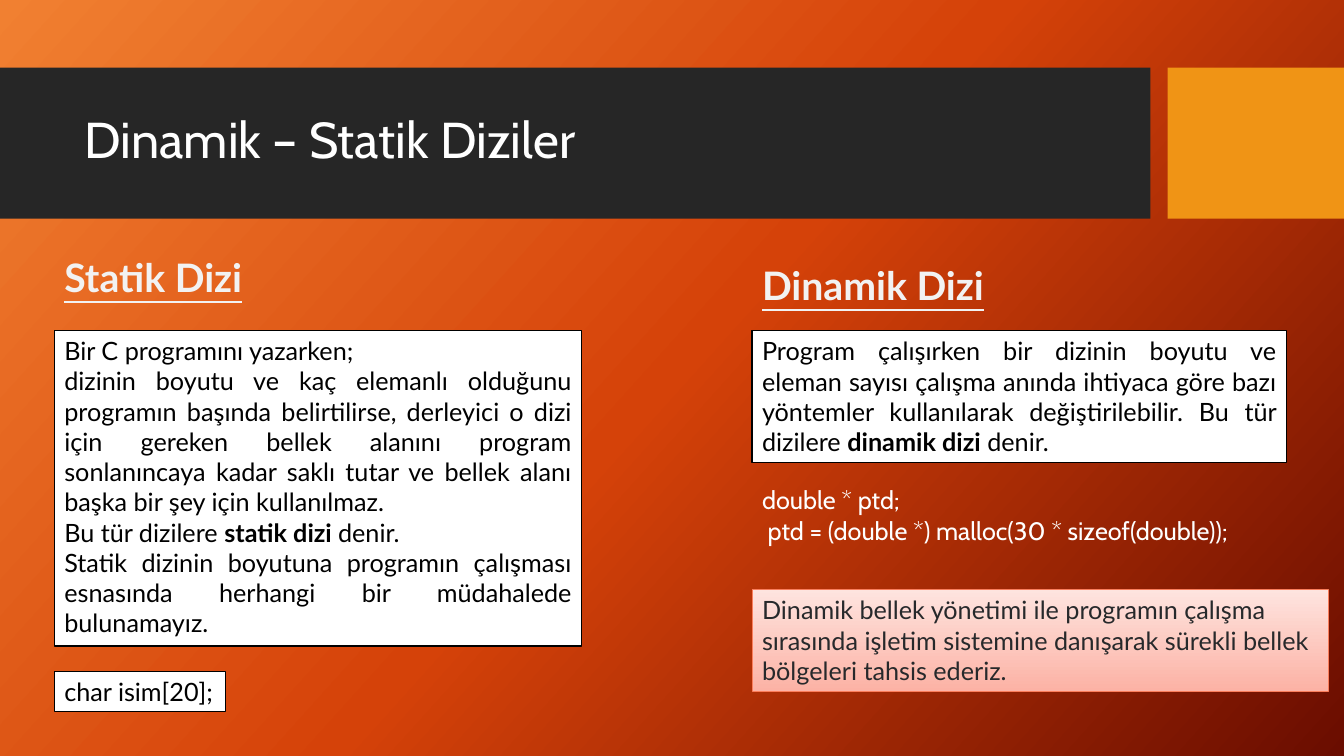
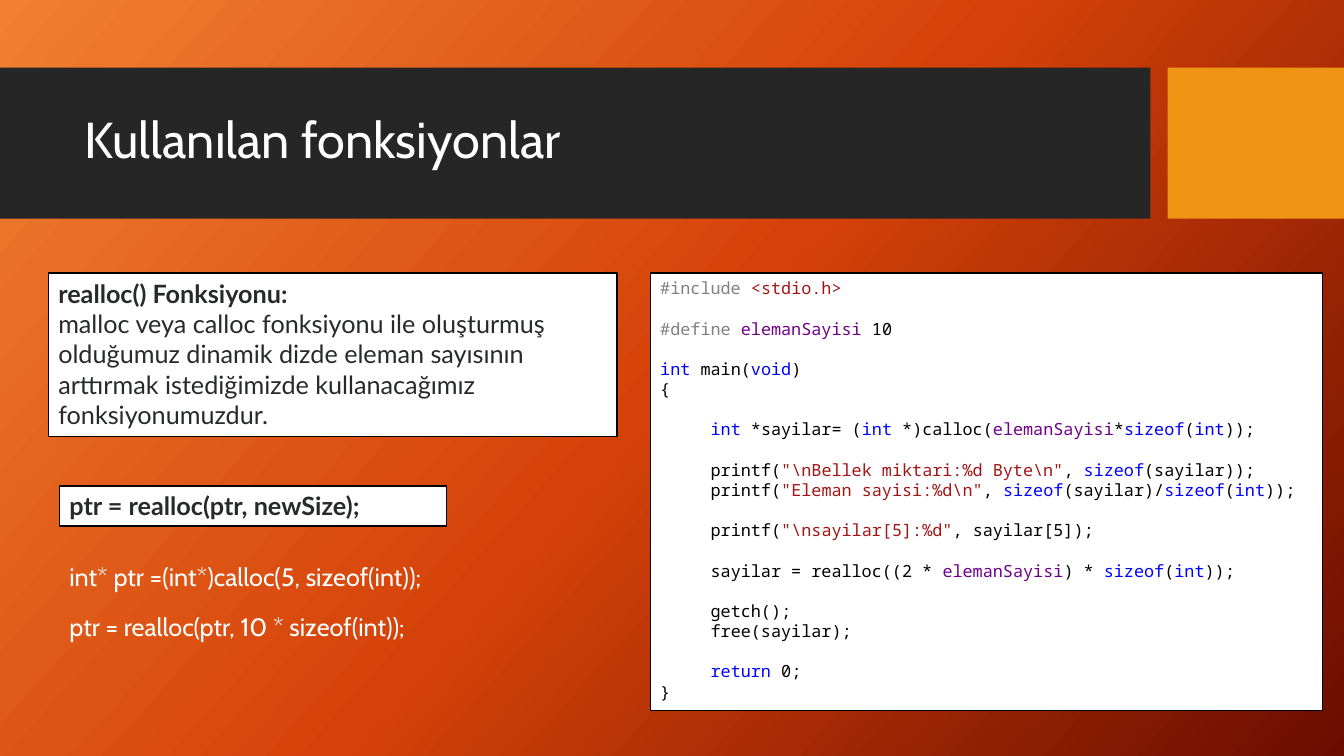
from copy import deepcopy

from pptx import Presentation
from pptx.dml.color import RGBColor
from pptx.enum import shapes, text
from pptx.oxml.ns import qn
from pptx.util import Inches, Pt

WHITE = RGBColor(0xFF, 0xFF, 0xFF)
BLACK = RGBColor(0, 0, 0)
BAND = RGBColor(0x26, 0x26, 0x26)
ACCENT = RGBColor(0xF0, 0x94, 0x15)
HEADING = RGBColor(0xF2, 0xF2, 0xF2)
BODY = RGBColor(0x27, 0x29, 0x2B)
NOTE_LINE = RGBColor(0xFA, 0x7E, 0x5C)
CODE_GREY = RGBColor(0x80, 0x80, 0x80)
CODE_RED = RGBColor(0xA3, 0x15, 0x15)
CODE_BLUE = RGBColor(0, 0, 0xFF)
CODE_PURPLE = RGBColor(0x6F, 0, 0x8A)

BACKGROUND_STOPS = [
    (0, RGBColor(0xF1, 0x80, 0x31)),
    (0.5, RGBColor(0xD5, 0x42, 0x09)),
    (1, RGBColor(0x6A, 0x0D, 0x00)),
]
NOTE_STOPS = [(0, RGBColor(0xFE, 0xE4, 0xDF)), (1, RGBColor(0xFC, 0xB2, 0xA5))]

TITLE_FONT, BODY_FONT, CODE_FONT = "Cabin", "Lato", "Noto Sans Mono"
CODE_LINE = Pt(14.4)
JUSTIFY = text.PP_ALIGN.JUSTIFY

# Reusable formats
HEADING_STYLE = dict(size=28, color=HEADING, bold=True, underline=True, wrap=False)
CARD = dict(fill=WHITE, line=BLACK)
PLAIN = dict(font=TITLE_FONT, color=WHITE)

# Each item: (left, top, width, height), paragraphs, format.
# A paragraph is a string or a list of (text, run format) pairs.
ARRAYS = [
    ((0.54, 2.46, 2.08, 0.57), ["Statik Dizi"], HEADING_STYLE),
    ((0.54, 3.28, 5.23, 3.13), [
        "Bir C programını yazarken;",
        "dizinin boyutu ve kaç elemanlı olduğunu programın başında belirtilirse, "
        "derleyici o dizi için gereken bellek alanını program sonlanıncaya kadar "
        "saklı tutar ve bellek alanı başka bir şey için kullanılmaz.",
        [("Bu tür dizilere ", {}), ("statik dizi ", {"bold": True}), ("denir.", {})],
        "Statik dizinin boyutuna programın çalışması esnasında herhangi bir "
        "müdahalede bulunamayız.",
    ], dict(CARD, align=JUSTIFY)),
    ((7.46, 2.54, 2.54, 0.57), ["Dinamik Dizi"], HEADING_STYLE),
    ((7.46, 3.28, 5.3, 1.31), [[
        ("Program çalışırken bir dizinin boyutu ve eleman sayısı çalışma anında "
         "ihtiyaca göre bazı yöntemler kullanılarak değiştirilebilir. "
         "Bu tür dizilere ", {}),
        ("dinamik dizi", {"bold": True}),
        (" denir.", {}),
    ]], dict(CARD, align=JUSTIFY)),
    ((0.54, 6.66, 1.7, 0.4), ["char isim[20];"], dict(CARD, align=JUSTIFY)),
    ((7.46, 5.85, 5.72, 1.01), [
        "Dinamik bellek yönetimi ile programın çalışma sırasında işletim sistemine "
        "danışarak sürekli bellek bölgeleri tahsis ederiz.",
    ], dict(gradient=NOTE_STOPS, line=NOTE_LINE, line_width=0.75, color=BODY)),
    ((7.46, 4.76, 5.45, 0.71), [
        "double * ptd;",
        " ptd = (double *) malloc(30 * sizeof(double));",
    ], PLAIN),
]

FUNCTIONS = [
    ((0.48, 2.71, 5.64, 1.62), [
        [("realloc() Fonksiyonu:", {"bold": True})],
        "malloc veya calloc fonksiyonu ile oluşturmuş olduğumuz dinamik dizde "
        "eleman sayısının arttırmak istediğimizde kullanacağımız fonksiyonumuzdur.",
    ], dict(CARD, color=BODY)),
    ((0.59, 4.82, 3.84, 0.4), ["ptr = realloc(ptr, newSize);"],
     dict(CARD, color=BODY, bold=True)),
    ((0.59, 5.52, 4.29, 0.4), ["int* ptr =(int*)calloc(5, sizeof(int));"],
     dict(PLAIN, wrap=False)),
    ((0.59, 6.02, 4.02, 0.4), ["ptr = realloc(ptr, 10 * sizeof(int));"],
     dict(PLAIN, wrap=False)),
]

# Blocks of (indent level, line); "|" separates the coloured tokens.
CODE_BLOCKS = [
    [(0, "#include| |<stdio.h>")],
    [(0, "#define| |elemanSayisi| 10")],
    [(0, "int| main(|void|)"), (0, "{")],
    [(1, "int| *sayilar= (|int| *)calloc(|elemanSayisi|*|sizeof|(|int|));")],
    [(1, r'printf(|"\nBellek miktari:%d Byte\n"|, |sizeof|(sayilar));'),
     (1, r'printf(|"Eleman sayisi:%d\n"|, |sizeof|(sayilar)/|sizeof|(|int|));')],
    [(1, r'printf(|"\nsayilar[5]:%d"|, sayilar[5]);')],
    [(1, "sayilar = realloc((2 * |elemanSayisi|) * |sizeof|(|int|));")],
    [(1, "getch();"), (1, "free(sayilar);")],
    [(1, "return| 0;"), (0, "}")],
]
TOKEN_COLORS = {
    "#include": CODE_GREY, "#define": CODE_GREY, "<stdio.h>": CODE_RED,
    "elemanSayisi": CODE_PURPLE, "int": CODE_BLUE, "void": CODE_BLUE,
    "sizeof": CODE_BLUE, "return": CODE_BLUE,
}


def set_gradient(fill, element, stops, angle):
    """Fill with the (position, colour) stops; the angle runs clockwise."""
    fill.gradient()
    fill.gradient_angle = 360 - angle
    stop_list = element.find(".//" + qn("a:gsLst"))
    while len(stop_list) < len(stops):
        stop_list.append(deepcopy(stop_list[-1]))
    for stop, (position, color) in zip(fill.gradient_stops, stops):
        stop.position = position
        stop.color.rgb = color


def add_box(slide, at, fill=None, gradient=None, line=None, line_width=1):
    bounds = [Inches(length) for length in at]
    if fill is None and gradient is None:
        return slide.shapes.add_textbox(*bounds)
    shape = slide.shapes.add_shape(shapes.MSO_SHAPE.RECTANGLE, *bounds)
    shape.shadow.inherit = False
    if gradient:
        set_gradient(shape.fill, shape.element, gradient, 90)
    else:
        shape.fill.solid()
        shape.fill.fore_color.rgb = fill
    if line is None:
        shape.line.fill.background()
    else:
        shape.line.color.rgb = line
        shape.line.width = Pt(line_width)
    return shape


def add_text(slide, at, paragraphs, font=BODY_FONT, size=18, color=BLACK, bold=False,
             underline=False, align=text.PP_ALIGN.LEFT, anchor=text.MSO_ANCHOR.TOP,
             wrap=True, line_spacing=None, **box_format):
    shape = add_box(slide, at, **box_format)
    frame = shape.text_frame
    frame.word_wrap = wrap
    frame.vertical_anchor = anchor
    for index, content in enumerate(paragraphs):
        paragraph = frame.add_paragraph() if index else frame.paragraphs[0]
        paragraph.alignment = align
        paragraph.line_spacing = line_spacing
        runs = [(content, {})] if isinstance(content, str) else content
        for words, run_format in runs:
            run = paragraph.add_run()
            run.text = words
            run.font.name = font
            run.font.size = Pt(size)
            run.font.underline = underline
            run.font.bold = run_format.get("bold", bold)
            run.font.color.rgb = run_format.get("color", color)
    return shape


def token_color(token):
    return CODE_RED if token.startswith('"') else TOKEN_COLORS.get(token, BLACK)


def add_code(slide, at, blocks):
    lines = [(level, line, block is not blocks[0] and row == 0)
             for block in blocks for row, (level, line) in enumerate(block)]
    paragraphs = [[(token, {"color": token_color(token)}) for token in line.split("|")]
                  for _, line, _ in lines]
    shape = add_text(slide, at, paragraphs, font=CODE_FONT, size=12,
                     line_spacing=CODE_LINE, **CARD)
    for paragraph, (level, _, starts_block) in zip(shape.text_frame.paragraphs, lines):
        if starts_block:
            paragraph.space_before = CODE_LINE
        if level:
            properties = paragraph._p.get_or_add_pPr()
            properties.set("marL", str(Inches(0.5 * level)))
            properties.set("indent", "0")


def add_titled_slide(presentation, title, items):
    slide = presentation.slides.add_slide(presentation.slide_layouts[6])
    add_box(slide, (0, 0.67, 11.41, 1.5), fill=BAND)
    add_box(slide, (11.58, 0.67, 1.75, 1.5), fill=ACCENT)
    add_text(slide, (0.74, 0.82, 10.51, 1.18), [title], font=TITLE_FONT, size=36,
             color=WHITE, anchor=text.MSO_ANCHOR.MIDDLE, line_spacing=0.9)
    for at, paragraphs, style in items:
        add_text(slide, at, paragraphs, **style)
    return slide


def main():
    presentation = Presentation()
    presentation.slide_width = Inches(13.33)
    presentation.slide_height = Inches(7.5)
    master = presentation.slide_master
    set_gradient(master.background.fill, master.element, BACKGROUND_STOPS, 42)

    add_titled_slide(presentation, "Dinamik – Statik Diziler", ARRAYS)
    functions = add_titled_slide(presentation, "Kullanılan fonksiyonlar", FUNCTIONS)
    add_code(functions, (6.45, 2.71, 6.67, 4.34), CODE_BLOCKS)
    presentation.save("out.pptx")


if __name__ == "__main__":
    main()
